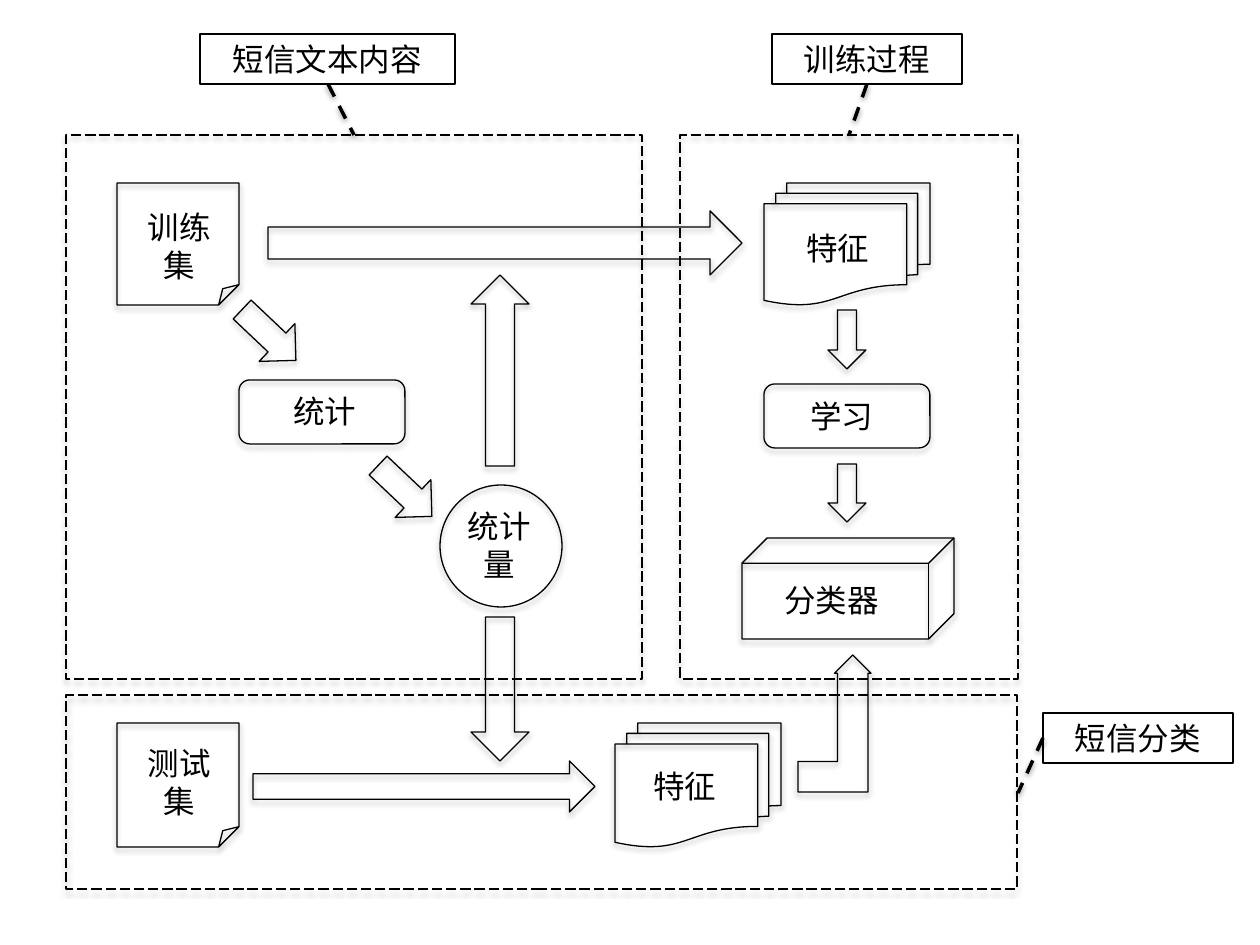
"""Build a flow diagram of training and classifying text messages."""
from dataclasses import dataclass

from lxml.etree import SubElement
from pptx import Presentation
from pptx.dml.color import RGBColor
from pptx.enum.dml import MSO_LINE
from pptx.enum.shapes import MSO_CONNECTOR, MSO_SHAPE
from pptx.enum.text import MSO_ANCHOR, MSO_AUTO_SIZE, PP_ALIGN
from pptx.oxml.ns import qn
from pptx.util import Inches, Pt


@dataclass(frozen=True)
class Theme:
    ink: RGBColor = RGBColor(0, 0, 0)
    font: str = "Calibri"
    text_size: float = 18
    outline: float = 0.75
    leader: float = 2


THEME = Theme()
PIXEL = Inches(1) / 126

SYMBOLS = [
    (MSO_SHAPE.FOLDED_CORNER, 117, 183, 122, 122),
    (MSO_SHAPE.FLOWCHART_MULTIDOCUMENT, 764, 183, 166, 122),
    (MSO_SHAPE.ROUNDED_RECTANGLE, 764, 384, 166, 64),
    (MSO_SHAPE.CUBE, 742, 538, 212, 101),
    (MSO_SHAPE.FOLDED_CORNER, 117, 723, 122, 124),
    (MSO_SHAPE.FLOWCHART_MULTIDOCUMENT, 615, 723, 166, 124),
    (MSO_SHAPE.ROUNDED_RECTANGLE, 239, 380, 166, 64),
    (MSO_SHAPE.OVAL, 440, 485, 122, 122),
]
LABELS = [
    ("训练集", 129, 202, 101, 89, PP_ALIGN.CENTER),
    ("特征", 794, 223, 111, 50, PP_ALIGN.LEFT),
    ("学习", 798, 391, 111, 50, PP_ALIGN.LEFT),
    ("分类器", 772, 575, 136, 50, PP_ALIGN.LEFT),
    ("测试集", 129, 738, 101, 89, PP_ALIGN.CENTER),
    ("特征", 641, 761, 111, 50, PP_ALIGN.LEFT),
    ("统计", 281, 386, 111, 50, PP_ALIGN.LEFT),
    ("统计量", 455, 501, 89, 89, PP_ALIGN.CENTER),
]
ARROWS = [
    (MSO_SHAPE.RIGHT_ARROW, 268, 211, 474, 64),
    (MSO_SHAPE.DOWN_ARROW, 828, 310, 38, 59),
    (MSO_SHAPE.DOWN_ARROW, 828, 464, 38, 58),
    (MSO_SHAPE.UP_ARROW, 471, 275, 58, 191),
    (MSO_SHAPE.RIGHT_ARROW, 253, 761, 342, 51),
    (MSO_SHAPE.DOWN_ARROW, 471, 617, 58, 144),
]
SLANTED_ARROWS = [(232, 309), (368, 465)]
STAGES = [(66, 135, 576, 544), (680, 135, 338, 544), (66, 695, 951, 194)]
CAPTIONS = [
    ("短信文本内容", 200, 34, 255, 50),
    ("训练过程", 772, 34, 190, 50),
    ("短信分类", 1043, 713, 190, 50),
]
LEADERS = [(328, 84, 354, 135), (867, 84, 849, 135), (1043, 738, 1018, 793)]


def px(*lengths):
    return [round(length * PIXEL) for length in lengths]


def add_shadow(shape, opacity, distance):
    effects = SubElement(shape.element.spPr, qn("a:effectLst"))
    shadow = SubElement(effects, qn("a:outerShdw"), blurRad=str(Pt(3.1)),
                        dist=str(Pt(distance)), dir="5400000", rotWithShape="0")
    color = SubElement(shadow, qn("a:srgbClr"), val=str(THEME.ink))
    SubElement(color, qn("a:alpha"), val=str(opacity * 1000))


def style_line(line, width, dash=None):
    line.color.rgb = THEME.ink
    line.width = Pt(width)
    if dash is not None:
        line.dash_style = dash


def add_outline(slide, kind, *box, dash=None, shadowed=True):
    shape = slide.shapes.add_shape(kind, *px(*box))
    shape.fill.background()
    style_line(shape.line, THEME.outline, dash)
    if shadowed:
        add_shadow(shape, 35, 1.8)
    else:
        shape.shadow.inherit = False
    return shape


def write(shape, text, align):
    frame = shape.text_frame
    frame.word_wrap = True
    frame.auto_size = MSO_AUTO_SIZE.SHAPE_TO_FIT_TEXT
    frame.vertical_anchor = MSO_ANCHOR.TOP
    paragraph = frame.paragraphs[0]
    paragraph.text = text
    paragraph.alignment = align
    paragraph.font.name = THEME.font
    paragraph.font.size = Pt(THEME.text_size)
    paragraph.font.color.rgb = THEME.ink


def add_label(slide, text, left, top, width, height, align):
    label = slide.shapes.add_textbox(*px(left, top, width, height))
    write(label, text, align)


def add_caption(slide, text, *box):
    caption = add_outline(slide, MSO_SHAPE.RECTANGLE, *box, shadowed=False)
    write(caption, text, PP_ALIGN.CENTER)


def add_leader(slide, *ends):
    leader = slide.shapes.add_connector(MSO_CONNECTOR.STRAIGHT, *px(*ends))
    style_line(leader.line, THEME.leader, MSO_LINE.DASH)
    add_shadow(leader, 38, 1.6)


def main():
    deck = Presentation()
    deck.slide_width, deck.slide_height = Inches(10), Inches(7.5)
    slide = deck.slides.add_slide(deck.slide_layouts[6])

    for symbol in SYMBOLS:
        add_outline(slide, *symbol)
    for label in LABELS:
        add_label(slide, *label)
    for arrow in ARROWS:
        add_outline(slide, *arrow)
    classify = add_outline(slide, MSO_SHAPE.BENT_UP_ARROW, 798, 655, 73, 137)
    classify.adjustments[0] = 0.418
    for left, top in SLANTED_ARROWS:
        slanted = add_outline(slide, MSO_SHAPE.RIGHT_ARROW, left, top, 74, 52)
        slanted.rotation = 43.4
    for stage in STAGES:
        add_outline(slide, MSO_SHAPE.RECTANGLE, *stage, dash=MSO_LINE.LONG_DASH)
    for caption in CAPTIONS:
        add_caption(slide, *caption)
    for leader in LEADERS:
        add_leader(slide, *leader)

    deck.save("out.pptx")


main()
